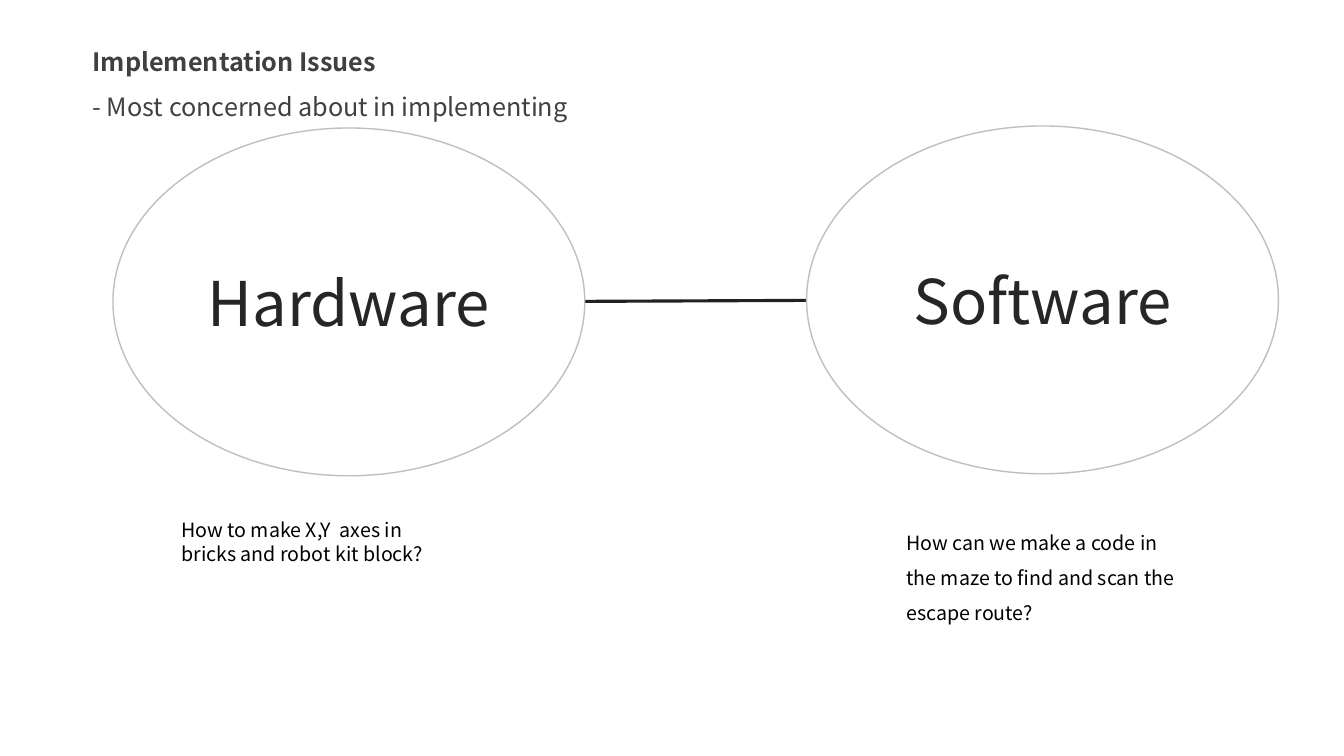
from pptx import Presentation
from pptx.dml.color import RGBColor
from pptx.enum.shapes import MSO_CONNECTOR, MSO_SHAPE
from pptx.enum.text import MSO_ANCHOR, MSO_AUTO_SIZE, PP_ALIGN
from pptx.oxml.ns import qn
from pptx.util import Pt
from lxml.etree import SubElement

SCALE = 9144
FACE = "Noto Sans CJK KR"


def px(*nums):
    """Turn px, 100 to the inch, into EMU."""
    return [num * SCALE for num in nums]


def paint(item, code):
    """Give a colour format a hex colour."""
    item.rgb = RGBColor.from_string(code)


def apply(item, form):
    """Set attributes from a dict of format values."""
    for key, value in form.items():
        setattr(item, key, value)


def write(para, text, size, code, form, bold=False):
    """Write one styled run into a paragraph."""
    run = para.add_run()
    run.text = text
    apply(run.font, {"name": FACE, "size": Pt(size), "bold": bold})
    paint(run.font.color, code)
    apply(para, form)


def note(slide, box, lines, size, code, pitch):
    """Add a text box of (text, bold) lines."""
    frame = slide.shapes.add_textbox(*px(*box)).text_frame
    apply(frame, {"word_wrap": True,
                  "auto_size": MSO_AUTO_SIZE.SHAPE_TO_FIT_TEXT})
    for spot, (text, bold) in enumerate(lines):
        para = frame.add_paragraph() if spot else frame.paragraphs[0]
        write(para, text, size, code, {"line_spacing": pitch}, bold)


def oval(slide, left, top, text):
    """Add an outlined ellipse with a large centred word."""
    shape = slide.shapes.add_shape(MSO_SHAPE.OVAL, *px(left, top, 468, 345))
    shape.shadow.inherit = False
    shape.fill.background()
    paint(shape.line.color, "BFBFBF")
    shape.line.width = Pt(1)
    frame = shape.text_frame
    apply(frame, {"margin_left": 0, "margin_top": 0, "margin_right": 0,
                  "margin_bottom": 0, "word_wrap": True,
                  "vertical_anchor": MSO_ANCHOR.MIDDLE})
    write(frame.paragraphs[0], text, 44, "262626",
          {"alignment": PP_ALIGN.CENTER})


def link(slide, ends):
    """Add a plain dark line between two points."""
    line = slide.shapes.add_connector(MSO_CONNECTOR.STRAIGHT, *px(*ends))
    paint(line.line.color, "212121")
    line.line.width = Pt(2.25)
    SubElement(line._element.spPr, qn("a:effectLst"))


def main():
    """Build and save the slide."""
    deck = Presentation()
    width, height = px(1333, 750)
    apply(deck, {"slide_width": width, "slide_height": height})
    slide = deck.slides.add_slide(deck.slide_layouts[6])
    link(slide, (580, 299, 800, 298))
    note(slide, (82, 26, 544, 101),
         [("Implementation Issues", True),
          ("- Most concerned about in implementing", False)],
         18, "404040", 1.5)
    oval(slide, 112, 127, "Hardware")
    oval(slide, 800, 125, "Software")
    note(slide, (170, 509, 291, 57),
         [("How to make X,Y  axes in bricks and robot kit block?", False)],
         14, "000000", 1.0)
    note(slide, (889, 510, 291, 112),
         [("How can we make a code in the maze to find and scan "
           "the escape route?", False)], 14, "000000", 1.5)
    deck.save("out.pptx")


if __name__ == "__main__":
    main()
